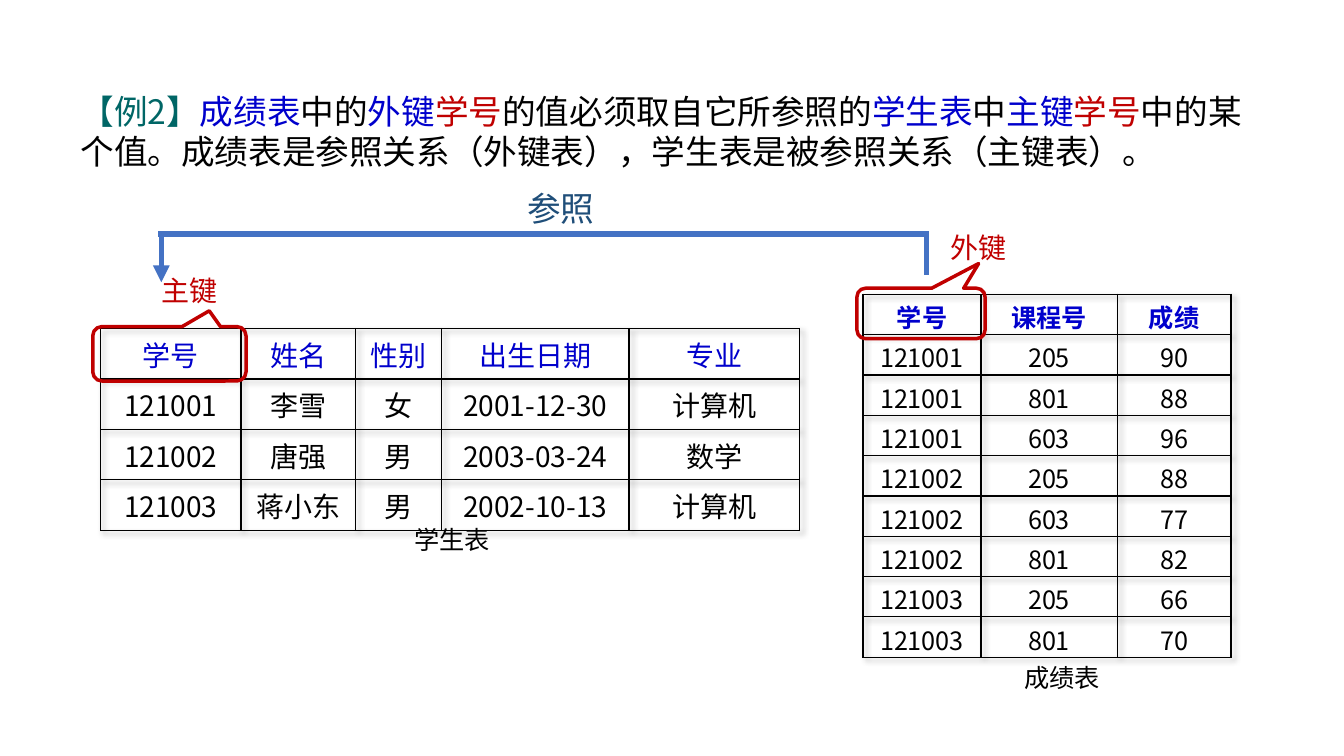
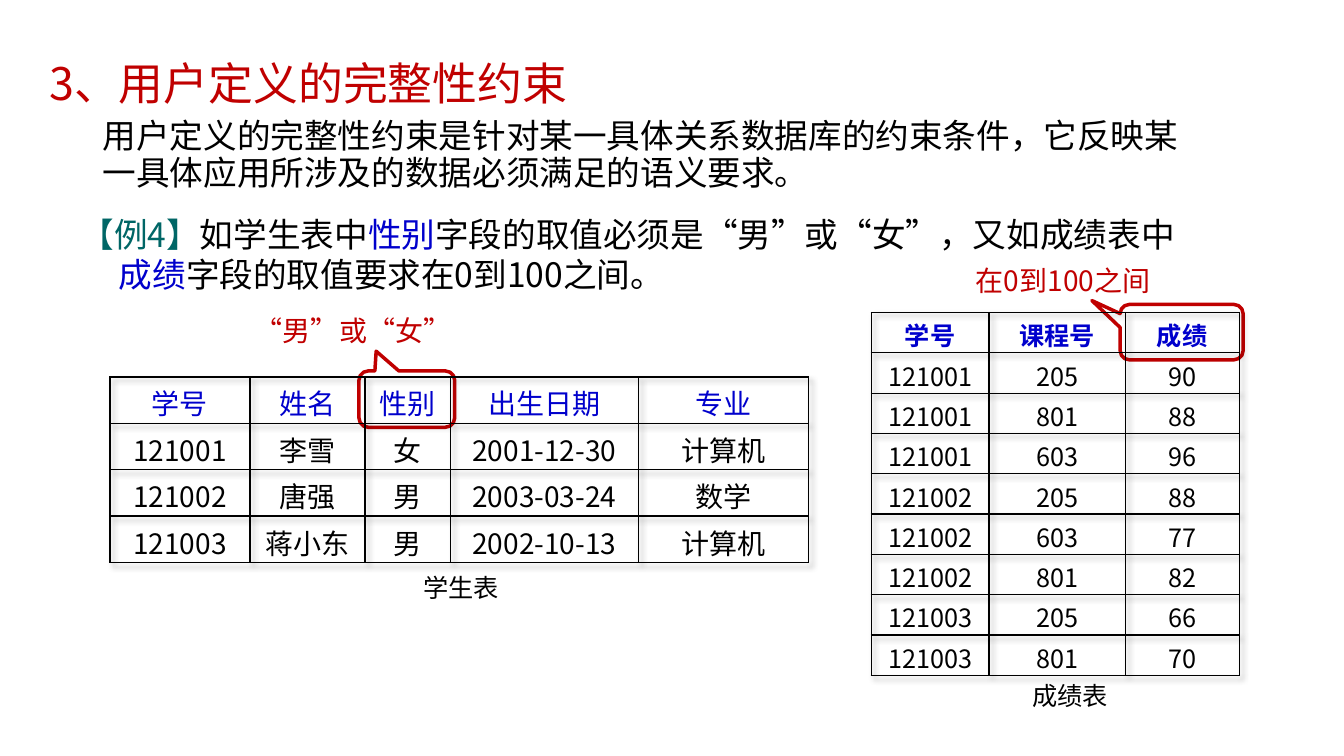
from dataclasses import dataclass

from lxml import etree
from pptx import Presentation
from pptx.dml.color import RGBColor
from pptx.enum.shapes import MSO_CONNECTOR, MSO_SHAPE
from pptx.enum.text import MSO_ANCHOR, PP_ALIGN
from pptx.oxml import parse_xml
from pptx.oxml.ns import nsdecls, qn
from pptx.util import Inches, Pt

TOP, MIDDLE = MSO_ANCHOR.TOP, MSO_ANCHOR.MIDDLE
LEFT, CENTER = PP_ALIGN.LEFT, PP_ALIGN.CENTER
CALLOUT = MSO_SHAPE.ROUNDED_RECTANGULAR_CALLOUT
STRAIGHT = MSO_CONNECTOR.STRAIGHT


@dataclass(frozen=True)
class Theme:
    """Hold the colours, font and type sizes that the slides share."""
    font: str = "Noto Sans CJK SC"
    black: str = "000000"
    white: str = "FFFFFF"
    red: str = "C00000"
    blue: str = "0000CC"
    teal: str = "006666"
    navy: str = "1F4E79"
    arrow: str = "4472C4"
    title: int = 32
    body: int = 24
    label: int = 20
    caption: int = 18


THEME = Theme()

STUDENTS = [
    ("学号", "姓名", "性别", "出生日期", "专业"),
    ("121001", "李雪", "女", "2001-12-30", "计算机"),
    ("121002", "唐强", "男", "2003-03-24", "数学"),
    ("121003", "蒋小东", "男", "2002-10-13", "计算机"),
]
STUDENT_COLUMNS = (1.39, 1.14, 0.85, 1.86, 1.69)

GRADES = [
    ("学号", "课程号", "成绩"),
    ("121001", "205", "90"),
    ("121001", "801", "88"),
    ("121001", "603", "96"),
    ("121002", "205", "88"),
    ("121002", "603", "77"),
    ("121002", "801", "82"),
    ("121003", "205", "66"),
    ("121003", "801", "70"),
]
GRADE_COLUMNS = (1.17, 1.35, 1.13)

REFERENCE_RULE = [
    ("【例2】", THEME.teal),
    ("成绩表", THEME.blue),
    ("中的", THEME.black),
    ("外键", THEME.blue),
    ("学号", THEME.red),
    ("的值必须取自它所参照的", THEME.black),
    ("学生表", THEME.blue),
    ("中", THEME.black),
    ("主键", THEME.blue),
    ("学号", THEME.red),
    ("中的某个值。成绩表是参照关系（外键表），学生表是被参照关系（主键表）。", THEME.black),
]
VALUE_RULE = [
    ("【例4】", THEME.teal),
    ("如学生表中", THEME.black),
    ("性别", THEME.blue),
    ("字段的取值必须是“男”或“女”，又如成绩表中", THEME.black),
    ("成绩", THEME.blue),
    ("字段的取值要求在0到100之间。", THEME.black),
]
DEFINITION = ("用户定义的完整性约束是针对某一具体关系数据库的约束条件，"
              "它反映某一具体应用所涉及的数据必须满足的语义要求。")


def rgb(color):
    """Turn a hex string into a colour."""
    return RGBColor.from_string(color)


def write_text(frame, content, size=THEME.body, color=THEME.black, bold=False,
               align=LEFT, spacing=1.0, margin=0, indent=0):
    """Write a string, or (text, colour) pairs, as one formatted paragraph."""
    paragraph = frame.paragraphs[0]
    paragraph.alignment = align
    paragraph.line_spacing = spacing
    properties = paragraph._p.get_or_add_pPr()
    properties.set("marL", str(Inches(margin)))
    properties.set("indent", str(Inches(indent)))
    pieces = [(content, color)] if isinstance(content, str) else content
    for words, shade in pieces:
        run = paragraph.add_run()
        run.text = words
        run.font.size = Pt(size)
        run.font.bold = bold
        run.font.name = THEME.font
        run.font.color.rgb = rgb(shade)
        run_properties = run._r.get_or_add_rPr()
        run_properties.set("lang", "zh-CN")
        east_asian = etree.SubElement(run_properties, qn("a:ea"))
        east_asian.set("typeface", THEME.font)


def add_text(slide, box, content, anchor=TOP, fill=None, **style):
    """Add a wrapping text box; centred ones have no vertical insets."""
    holder = slide.shapes.add_textbox(*map(Inches, box))
    frame = holder.text_frame
    frame.word_wrap = True
    frame.vertical_anchor = anchor
    if anchor == MIDDLE:
        frame.margin_top = frame.margin_bottom = 0
    if fill:
        holder.fill.solid()
        holder.fill.fore_color.rgb = rgb(fill)
    write_text(frame, content, **style)


def add_callout(slide, label, label_box, outline_box, pointer):
    """Add a red label and the callout outline that points to it."""
    add_text(slide, label_box, label, anchor=MIDDLE, fill=THEME.white,
             size=THEME.label, color=THEME.red)
    outline = slide.shapes.add_shape(CALLOUT, *map(Inches, outline_box))
    outline.shadow.inherit = False
    outline.fill.background()
    outline.line.color.rgb = rgb(THEME.red)
    outline.line.width = Pt(2.5)
    for index, value in enumerate((*pointer, 0.167)):
        outline.adjustments[index] = value


def add_borders(cell):
    """Draw thin black borders around a table cell."""
    properties = cell._tc.get_or_add_tcPr()
    for side in ("lnL", "lnR", "lnT", "lnB"):
        properties.append(parse_xml(
            f'<a:{side} {nsdecls("a")} w="{Pt(1)}"><a:solidFill>'
            f'<a:srgbClr val="{THEME.black}"/></a:solidFill></a:{side}>'))


def add_grid(slide, left, top, rows, columns, row_height, size, anchor, insets,
             bold_header=False):
    """Add an unfilled, bordered table with a soft shadow."""
    table = slide.shapes.add_table(
        len(rows), len(columns), Inches(left), Inches(top),
        Inches(sum(columns)), Inches(row_height * len(rows))).table
    table.first_row = table.horz_banding = False
    table._tbl.tblPr.insert(0, parse_xml(
        f'<a:effectLst {nsdecls("a")}><a:outerShdw blurRad="50800" '
        'dist="38100" dir="2700000" algn="tl" rotWithShape="0">'
        f'<a:srgbClr val="{THEME.black}"><a:alpha val="40000"/></a:srgbClr>'
        '</a:outerShdw></a:effectLst>'))
    for column, width in zip(table.columns, columns):
        column.width = Inches(width)
    for row_index, values in enumerate(rows):
        table.rows[row_index].height = Inches(row_height)
        header = row_index == 0
        for column_index, value in enumerate(values):
            cell = table.cell(row_index, column_index)
            add_borders(cell)
            cell.fill.background()
            cell.vertical_anchor = anchor
            cell.margin_top, cell.margin_bottom = map(Inches, insets)
            write_text(cell.text_frame, value, size=size, align=CENTER,
                       color=THEME.blue if header else THEME.black,
                       bold=header and bold_header)


def add_caption(slide, left, top, name):
    """Add the name of a table beneath it."""
    add_text(slide, (left, top, 1.21, 0.4), name, anchor=MIDDLE,
             size=THEME.caption)


def add_students(slide, left, top, row_height, bottom_inset):
    """Add the student table and its caption."""
    add_grid(slide, left, top, STUDENTS, STUDENT_COLUMNS, row_height,
             THEME.label, MIDDLE, (0.05, bottom_inset))
    add_caption(slide, left + 3.01, top + 1.89, "学生表")


def add_grades(slide, left, top):
    """Add the grade table and its caption."""
    add_grid(slide, left, top, GRADES, GRADE_COLUMNS, 0.4, THEME.caption,
             TOP, (0.04, 0), bold_header=True)
    add_caption(slide, left + 1.5, top + 3.6, "成绩表")


def add_line(slide, start, end, arrowhead=False):
    """Add one thick straight segment of the reference arrow."""
    segment = slide.shapes.add_connector(
        STRAIGHT, *map(Inches, (*start, *end)))
    segment.line.color.rgb = rgb(THEME.arrow)
    segment.line.width = Pt(4)
    if arrowhead:
        tail = etree.SubElement(segment.line._get_or_add_ln(), qn("a:tailEnd"))
        tail.set("type", "triangle")
    etree.SubElement(segment._element.spPr, qn("a:effectLst"))


def build_reference_slide(slide):
    """Show how the foreign key refers to the primary key."""
    add_text(slide, (0.2, 0.85, 12.44, 1.2), REFERENCE_RULE, margin=0.5)
    add_students(slide, 1, 3.26, 0.5, 0.05)
    add_callout(slide, "主键", (1.5, 2.66, 0.93, 0.44),
                (0.92, 3.24, 1.52, 0.54), (0.26, -0.79))
    add_grades(slide, 8.56, 2.92)
    add_callout(slide, "外键", (9.33, 2.23, 0.89, 0.44),
                (8.5, 2.86, 1.27, 0.5), (0.45, -0.99))
    add_text(slide, (5.13, 1.81, 1.49, 0.5), "参照", anchor=MIDDLE,
             color=THEME.navy)
    add_line(slide, (1.57, 2.32), (9.21, 2.32))
    add_line(slide, (1.6, 2.32), (1.6, 2.8), arrowhead=True)
    add_line(slide, (9.19, 2.3), (9.19, 2.73))


def build_constraint_slide(slide):
    """Explain user-defined integrity constraints."""
    add_text(slide, (0.2, 2.07, 11.75, 1.2), VALUE_RULE, margin=0.88,
             indent=-0.38)
    add_callout(slide, "“男”或“女”", (2.43, 3.06, 2.94, 0.44),
                (3.56, 3.68, 0.95, 0.56), (-0.32, -0.85))
    add_callout(slide, "在0到100之间", (9.58, 2.56, 3.37, 0.44),
                (11.11, 3.02, 1.22, 0.55), (-0.73, -0.57))
    add_text(slide, (0.39, 0.5, 11.71, 0.64), "3、用户定义的完整性约束",
             anchor=MIDDLE, size=THEME.title, color=THEME.red)
    add_text(slide, (0.92, 1.14, 11.15, 1), DEFINITION, spacing=0.9)
    add_students(slide, 1.09, 3.74, 0.46, 0)
    add_grades(slide, 8.64, 3.1)


def main():
    """Build and save the presentation."""
    deck = Presentation()
    deck.slide_width, deck.slide_height = Inches(13.33), Inches(7.5)
    for build in (build_reference_slide, build_constraint_slide):
        build(deck.slides.add_slide(deck.slide_layouts[6]))
    deck.save("out.pptx")


if __name__ == "__main__":
    main()
